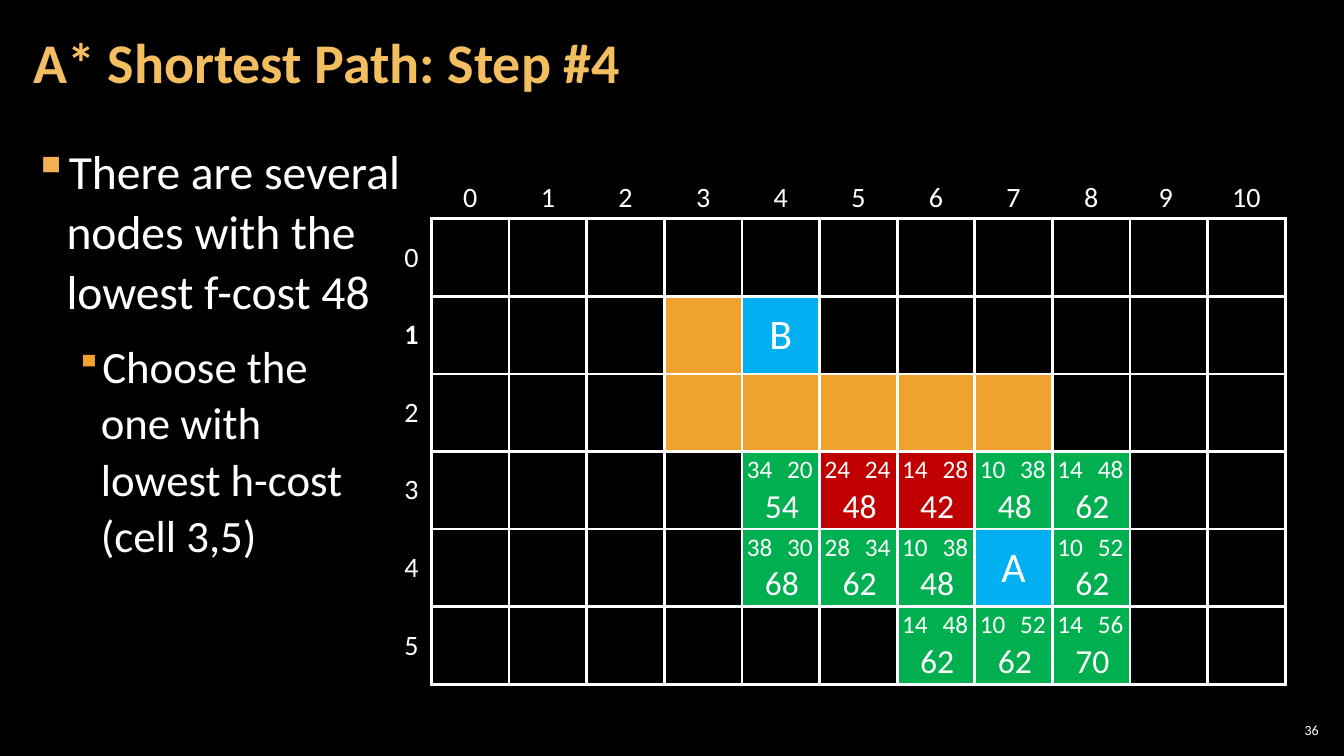
from dataclasses import dataclass
from itertools import product

from lxml.etree import SubElement
from pptx import Presentation
from pptx.dml.color import RGBColor
from pptx.enum.text import MSO_ANCHOR, MSO_AUTO_SIZE, PP_ALIGN
from pptx.oxml.ns import qn
from pptx.table import _Cell
from pptx.text.text import _Paragraph
from pptx.util import Inches, Length, Pt

WHITE, GOLD, AMBER = "FFFFFF", "F3BE60", "F0A22E"
GREEN, RED, BLUE = "00B050", "C00000", "00B0F0"
COLS, ROWS = 11, 6
LEFT, TOP, HEAD, CELL = 38.8, 17.5, 4, 7.7
EDGES = ("lnL", "lnR", "lnT", "lnB")
SPACE = {9: "9 "}


@dataclass
class Para:
    """A paragraph with its look."""
    text: str
    size: float
    color: str = WHITE
    bold: bool = False
    align: PP_ALIGN = PP_ALIGN.LEFT
    lead: float = 1.0


@dataclass
class Item(Para):
    """A paragraph with a bullet."""
    level: int = 0
    margin: float = 3.3
    hang: float = 3.3
    mark: str = "F2B254"
    scale: int = 100


@dataclass
class Box:
    """A text box placed in grid units."""
    x: float
    y: float
    w: float
    h: float
    paras: tuple[Para, ...]
    pad: tuple[float, float, float, float] = (1, 0.5, 1, 0.5)
    anchor: MSO_ANCHOR = MSO_ANCHOR.TOP
    grow: bool = False


@dataclass
class Cost:
    """The costs shown in one grid cell."""
    row: int
    col: int
    g: int
    h: int
    fill: str = GREEN


COSTS = (
    Cost(3, 4, 34, 20), Cost(3, 5, 24, 24, RED), Cost(3, 6, 14, 28, RED),
    Cost(3, 7, 10, 38), Cost(3, 8, 14, 48),
    Cost(4, 4, 38, 30), Cost(4, 5, 28, 34), Cost(4, 6, 10, 38), Cost(4, 8, 10, 52),
    Cost(5, 6, 14, 48), Cost(5, 7, 10, 52), Cost(5, 8, 14, 56),
)
ENDS = {(1, 4): "B", (4, 7): "A"}
WALLS = {(1, 3)} | {(2, col) for col in range(3, 8)}
FILLS = ({spot: AMBER for spot in WALLS} | {spot: BLUE for spot in ENDS}
         | {(cost.row, cost.col): cost.fill for cost in COSTS})

TEXTS = (
    Box(126.5, 71.4, 4.7, 2.1, (Para("36", 10, align=PP_ALIGN.RIGHT),),
        (0.4, 0.4, 0.4, 0.4), MSO_ANCHOR.MIDDLE),
    Box(2.1, 12.6, 129.1, 60.9, (
        Item("There are several\vnodes with the\vlowest f-cost 48", 34, lead=1.05),
        Item("Choose the\vone with\vlowest h-cost\v(cell 3,5)", 32, lead=1.05,
             level=1, margin=6.7, hang=2.5, mark=AMBER, scale=80),
    ), (1.2, 1.2, 1.2, 0.4)),
    Box(2.1, 0.4, 104.7, 12.1,
        (Para("A* Shortest Path: Step #4", 40, GOLD, True, lead=0.9),),
        (1.2, 0.4, 1.2, 0.4), MSO_ANCHOR.MIDDLE),
)


def unit(count: float) -> Length:
    """Turn grid units, a tenth of an inch each, into a length."""
    return Inches(count / 10)


def paint(code: str) -> RGBColor:
    """Turn a hex string into a colour."""
    return RGBColor.from_string(code)


def bullet(line: _Paragraph, item: Item) -> None:
    """Give a paragraph its square bullet and spacing."""
    line.level = item.level
    line.space_after = Pt(6)
    if item.level:
        line.space_before = Pt(6)
    props = line._p.get_or_add_pPr()
    props.set("marL", str(unit(item.margin)))
    props.set("indent", str(-unit(item.hang)))
    SubElement(SubElement(props, qn("a:buClr")), qn("a:srgbClr"), val=item.mark)
    SubElement(props, qn("a:buSzPct"), val=str(item.scale * 1000))
    SubElement(props, qn("a:buChar"), char="▪")


def write(line: _Paragraph, para: Para) -> None:
    """Fill a paragraph and format its runs."""
    line.text = para.text
    line.alignment = para.align
    line.line_spacing = para.lead
    if isinstance(para, Item):
        bullet(line, para)
    for run in line.runs:
        font = run.font
        font.name, font.size, font.bold = "Calibri", Pt(para.size), para.bold
        font.color.rgb = paint(para.color)


def place(shapes, box: Box) -> None:
    """Add a text box to a slide or group."""
    frame = shapes.add_textbox(*map(unit, (box.x, box.y, box.w, box.h))).text_frame
    frame.word_wrap = True
    frame.vertical_anchor = box.anchor
    frame.auto_size = MSO_AUTO_SIZE.SHAPE_TO_FIT_TEXT if box.grow else MSO_AUTO_SIZE.NONE
    (frame.margin_left, frame.margin_top,
     frame.margin_right, frame.margin_bottom) = map(unit, box.pad)
    for spot, para in enumerate(box.paras):
        write(frame.add_paragraph() if spot else frame.paragraphs[0], para)


def border(cell: _Cell, drawn: tuple[str, ...]) -> None:
    """Draw the named edges in white and clear the others."""
    props = cell._tc.get_or_add_tcPr()
    for edge in EDGES:
        line = SubElement(props, qn(f"a:{edge}"), w=str(Pt(2.25)))
        if edge in drawn:
            SubElement(SubElement(line, qn("a:solidFill")), qn("a:srgbClr"), val=WHITE)
        else:
            SubElement(line, qn("a:noFill"))


def label(row: int, col: int) -> str:
    """Name the text of a cell; headings sit at -1."""
    if row < 0 <= col:
        return SPACE.get(col, str(col))
    if col < 0 <= row:
        return str(row)
    return ENDS.get((row, col), "")


def board(shapes) -> None:
    """Add the grid with its row and column headings."""
    table = shapes.add_table(ROWS + 1, COLS + 1, unit(LEFT), unit(TOP),
                             unit(HEAD + COLS * CELL), unit(HEAD + ROWS * CELL)).table
    table.first_row = table.horz_banding = False
    for spot, column in enumerate(table.columns):
        column.width = unit(CELL if spot else HEAD)
    for spot, line in enumerate(table.rows):
        line.height = unit(CELL if spot else HEAD)
    for row, col in product(range(-1, ROWS), range(-1, COLS)):
        cell = table.cell(row + 1, col + 1)
        cell.vertical_anchor = MSO_ANCHOR.MIDDLE
        cell.margin_left = cell.margin_right = unit(0.8)
        cell.margin_top = cell.margin_bottom = unit(0.4)
        if row >= 0 and col >= 0:
            border(cell, EDGES)
        else:
            border(cell, ("lnB",) if col >= 0 else ("lnR",) if row >= 0 else ())
        text = label(row, col)
        if text:
            size = 30 if (row, col) in ENDS else 20
            write(cell.text_frame.paragraphs[0],
                  Para(text, size, bold=(row, col) == (1, -1), align=PP_ALIGN.CENTER))
        if (row, col) in FILLS:
            cell.fill.solid()
            cell.fill.fore_color.rgb = paint(FILLS[row, col])
        else:
            cell.fill.background()


def tally(shapes, cost: Cost) -> None:
    """Add the group of g, h and f costs over a cell."""
    group = shapes.add_group_shape().shapes
    x = LEFT + HEAD + cost.col * CELL
    y = TOP + HEAD + cost.row * CELL
    total = Para(str(cost.g + cost.h), 24, align=PP_ALIGN.CENTER)
    place(group, Box(x + 0.2, y + 3, 7.5, 5, (total,), grow=True))
    for shift, value in ((-0.5, cost.g), (3.5, cost.h)):
        place(group, Box(x + shift, y - 0.1, 5, 4, (Para(str(value), 18),), grow=True))


def main() -> None:
    """Build and save the slide."""
    deck = Presentation()
    deck.slide_width, deck.slide_height = Inches(13.33), Inches(7.5)
    slide = deck.slides.add_slide(deck.slide_layouts[6])
    slide.background.fill.solid()
    slide.background.fill.fore_color.rgb = paint("000000")
    for box in TEXTS:
        place(slide.shapes, box)
    board(slide.shapes)
    for cost in COSTS:
        tally(slide.shapes, cost)
    deck.save("out.pptx")


if __name__ == "__main__":
    main()
